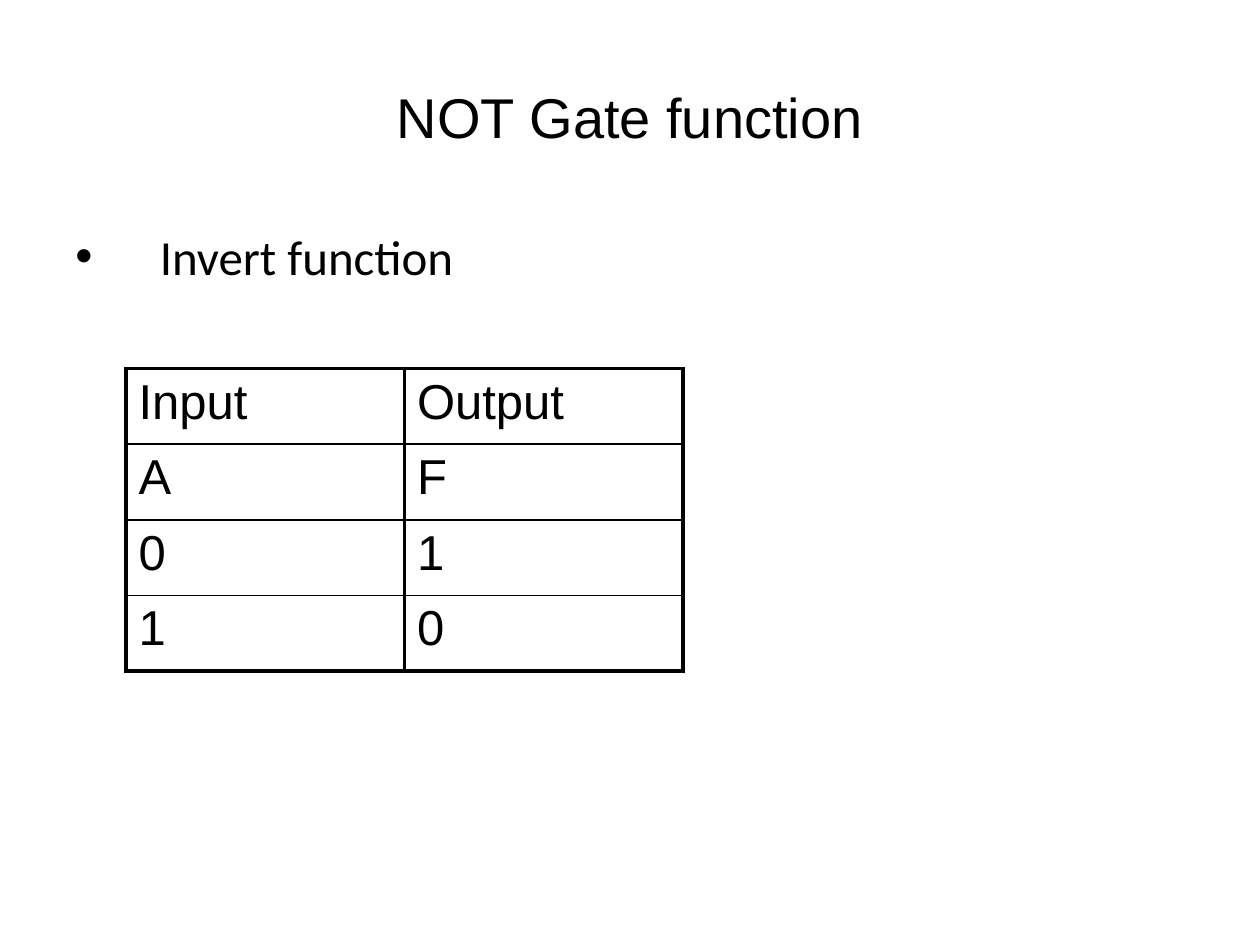
from dataclasses import dataclass

from lxml import etree
from pptx import Presentation
from pptx import util as u
from pptx.dml.color import RGBColor
from pptx.enum import text
from pptx.oxml import ns


@dataclass(frozen=True)
class Theme:
    ink: str = "000000"
    paper: str = "FFFFFF"
    head_font: str = "Arial"
    body_font: str = "Calibri"
    title_size: int = 32
    body_size: int = 28
    thick: float = 2.25
    thin: float = 1


T = Theme()
WIDTH, HEIGHT = u.Inches(10), u.Inches(7.5)
MARGIN = 0.05
TRUTH_TABLE = [("Input", "Output"), ("A", "F"), ("0", "1"), ("1", "0")]


def share(x, y, w, h):
    return [int(v) for v in (x * WIDTH, y * HEIGHT, w * WIDTH, h * HEIGHT)]


def sub(parent, tag, **attrs):
    return etree.SubElement(parent, ns.qn(tag), attrs)


def write(p, words, font=T.head_font, size=T.body_size, align=None):
    p.alignment = align
    r = p.add_run()
    r.text = words
    r.font.name, r.font.size = font, u.Pt(size)
    r.font.color.rgb = RGBColor.from_string(T.ink)


def add_bullet(p, indent):
    pPr = p._p.get_or_add_pPr()
    pPr.set("marL", str(indent))
    pPr.set("indent", str(-indent))
    sub(sub(pPr, "a:buClr"), "a:srgbClr", val=T.ink)
    sub(pPr, "a:buFont", typeface="Arial")
    sub(pPr, "a:buChar", char="•")


def add_text(s, box, words, anchor=text.MSO_ANCHOR.TOP, indent=None, **style):
    tf = s.shapes.add_textbox(*box).text_frame
    tf.word_wrap = True
    tf.vertical_anchor = anchor
    p = tf.paragraphs[0]
    if indent:
        add_bullet(p, indent)
    write(p, words, **style)


def set_borders(cell, **widths):
    tcPr = cell._tc.get_or_add_tcPr()
    for i, side in enumerate("LRTB"):
        ln = etree.Element(ns.qn(f"a:ln{side}"), w=str(u.Pt(widths[side])))
        sub(sub(ln, "a:solidFill"), "a:srgbClr", val=T.ink)
        tcPr.insert(i, ln)


def add_grid(s, box, rows):
    tbl = s.shapes.add_table(len(rows), len(rows[0]), *box).table
    tbl.first_row = tbl.horz_banding = False
    last = len(rows) - 1
    for i, row in enumerate(rows):
        for j, words in enumerate(row):
            cell = tbl.cell(i, j)
            cell.fill.background()
            write(cell.text_frame.paragraphs[0], words)
            set_borders(cell, L=T.thick, R=T.thick,
                        T=T.thin if i else T.thick,
                        B=T.thick if i == last else T.thin)


def main():
    prs = Presentation()
    prs.slide_width, prs.slide_height = WIDTH, HEIGHT
    s = prs.slides.add_slide(prs.slide_layouts[6])
    s.background.fill.solid()
    s.background.fill.fore_color.rgb = RGBColor.from_string(T.paper)
    span = 1 - 2 * MARGIN
    add_text(s, share(MARGIN, 0.04, span, 1 / 6), "NOT Gate function",
             anchor=text.MSO_ANCHOR.MIDDLE, size=T.title_size,
             align=text.PP_ALIGN.CENTER)
    add_text(s, share(MARGIN, 7 / 30, span, 2 / 15), "Invert function",
             indent=u.Inches(0.67), font=T.body_font)
    add_grid(s, share(2 * MARGIN, 0.39, 0.442, 0.32), TRUTH_TABLE)
    prs.save("out.pptx")


if __name__ == "__main__":
    main()
